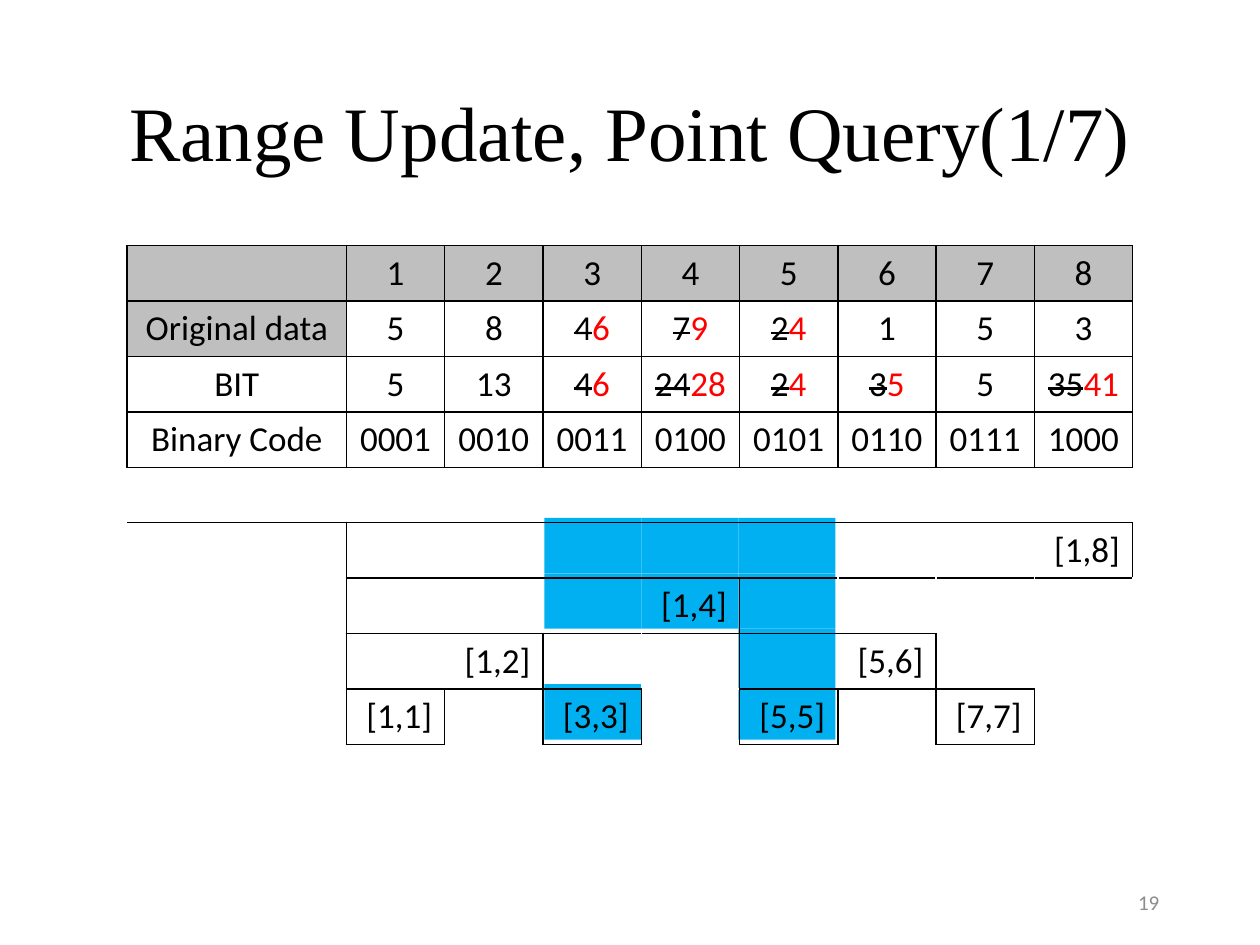
from lxml import etree
from pptx import Presentation
from pptx import util as u
from pptx.dml.color import RGBColor
from pptx.enum import shapes, text
from pptx.oxml.ns import qn

WIDTH, HEIGHT = 10, 7.5
LEFT, TOP = 1.01, 1.95
LABEL_W, COL_W, ROW_H = 1.74, 0.78, 0.44
ROWS, COLS = 9, 9
NO_STYLE = "{2D5ABB26-0587-4C30-8999-92F81FD0307C}"
BLACK, WHITE, GREY, BLUE, RED = "000000", "FFFFFF", "BFBFBF", "00B0F0", "FF0000"
CENTER, RIGHT = text.PP_ALIGN.CENTER, text.PP_ALIGN.RIGHT

# A pair holds an old value, struck through, and its new value.
DATA = [
    ["", *"12345678"],
    ["Original data", "5", "8", ("4", "6"), ("7", "9"), ("2", "4"), "1", "5", "3"],
    ["BIT", "5", "13", ("4", "6"), ("24", "28"), ("2", "4"), ("3", "5"), "5", ("35", "41")],
    ["Binary Code", *(f"{n:04b}" for n in range(1, 9))],
]
# Table row of the tree -> first and last index of each node
TREE = {5: [(1, 8)], 6: [(1, 4)], 7: [(1, 2), (5, 6)],
        8: [(1, 1), (3, 3), (5, 5), (7, 7)]}
# Highlighted index -> tree levels
HIGHLIGHT = {3: (0, 1, 3), 4: (0, 1), 5: (0, 1, 2, 3)}


def rgb(code):
    return RGBColor.from_string(code)


def add_run(p, content, size=20, font="Calibri", color=BLACK, strike=False):
    r = p.add_run()
    r.text = content
    r.font.size, r.font.name = u.Pt(size), font
    r.font.color.rgb = rgb(color)
    if strike:
        r.font._element.set("strike", "sngStrike")


def add_text(s, content, left, top, width, height, align=CENTER, spacing=1.0, **fmt):
    """Place a text box given in shares of the slide's size."""
    box = s.shapes.add_textbox(u.Inches(left * WIDTH), u.Inches(top * HEIGHT),
                               u.Inches(width * WIDTH), u.Inches(height * HEIGHT))
    tf = box.text_frame
    tf.word_wrap = True
    tf.vertical_anchor = text.MSO_ANCHOR.MIDDLE
    p = tf.paragraphs[0]
    p.alignment, p.line_spacing = align, spacing
    add_run(p, content, **fmt)


def add_highlight(s, index, level):
    """Colour one index at one level of the tree."""
    sp = s.shapes.add_shape(
        shapes.MSO_SHAPE.RECTANGLE,
        u.Inches(4.32 + (index - 3) * 0.77), u.Inches(4.11 + level * ROW_H),
        u.Inches(0.77), u.Inches(ROW_H))
    sp.shadow.inherit = False
    sp.fill.solid()
    sp.fill.fore_color.rgb = rgb(BLUE)
    sp.line.fill.background()


def fill_cell(cell, color):
    if color:
        cell.fill.solid()
        cell.fill.fore_color.rgb = rgb(color)
    else:
        cell.fill.background()


def write_cell(cell, content, align=CENTER):
    cell.vertical_anchor = text.MSO_ANCHOR.MIDDLE
    p = cell.text_frame.paragraphs[0]
    p.alignment = align
    if isinstance(content, tuple):
        old, new = content
        add_run(p, old, strike=True)
        add_run(p, new, color=RED)
    elif content:
        add_run(p, content)


def is_boxed(row, col):
    if 0 <= row < len(DATA):
        return 0 <= col < COLS
    return any(a <= col <= b for a, b in TREE.get(row, []))


def set_borders(cell, row, col):
    """Black around boxed cells, white elsewhere in the lower tree."""
    sides = [("lnL", 0, -1), ("lnR", 0, 1), ("lnT", -1, 0), ("lnB", 1, 0)]
    tcpr = cell._tc.get_or_add_tcPr()
    lines = []
    for tag, dr, dc in sides:
        if is_boxed(row, col) or is_boxed(row + dr, col + dc):
            color = BLACK
        elif row > 5 and col > 0:
            color = WHITE
        else:
            continue
        ln = etree.Element(qn(f"a:{tag}"), w=str(u.Pt(1)))
        solid = etree.SubElement(ln, qn("a:solidFill"))
        etree.SubElement(solid, qn("a:srgbClr"), val=color)
        lines.append(ln)
    for i, ln in enumerate(lines):
        tcpr.insert(i, ln)


def data_fill(row, col):
    if row == 0 or (row, col) == (1, 0):
        return GREY
    return WHITE if col and row < len(DATA) else None


def add_index_table(s):
    frame = s.shapes.add_table(ROWS, COLS, u.Inches(LEFT), u.Inches(TOP),
                               u.Inches(LABEL_W + 8 * COL_W), u.Inches(ROWS * ROW_H))
    table = frame.table
    table.first_row = table.horz_banding = False
    table._tbl.tblPr.find(qn("a:tableStyleId")).text = NO_STYLE
    for i, column in enumerate(table.columns):
        column.width = u.Inches(COL_W if i else LABEL_W)
    for row in range(ROWS):
        table.rows[row].height = u.Inches(ROW_H)
        for col in range(COLS):
            cell = table.cell(row, col)
            fill_cell(cell, data_fill(row, col))
            set_borders(cell, row, col)
    for row, values in enumerate(DATA):
        for col, value in enumerate(values):
            write_cell(table.cell(row, col), value)
    for row, nodes in TREE.items():
        for first, last in nodes:
            cell = table.cell(row, first)
            if last > first:
                cell.merge(table.cell(row, last))
            write_cell(cell, f"[{first},{last}]", align=RIGHT)


def main():
    prs = Presentation()
    prs.slide_width, prs.slide_height = u.Inches(WIDTH), u.Inches(HEIGHT)
    s = prs.slides.add_slide(prs.slide_layouts[6])
    for index, levels in HIGHLIGHT.items():
        for level in levels:
            add_highlight(s, index, level)
    add_text(s, "Range Update, Point Query(1/7)", 0.07, 0.05, 0.86, 0.19,
             spacing=0.9, size=44, font="Times New Roman")
    add_text(s, "19", 0.71, 0.93, 0.22, 0.05, align=RIGHT, size=12, color="8C8C8C")
    add_index_table(s)
    prs.save("out.pptx")


if __name__ == "__main__":
    main()
